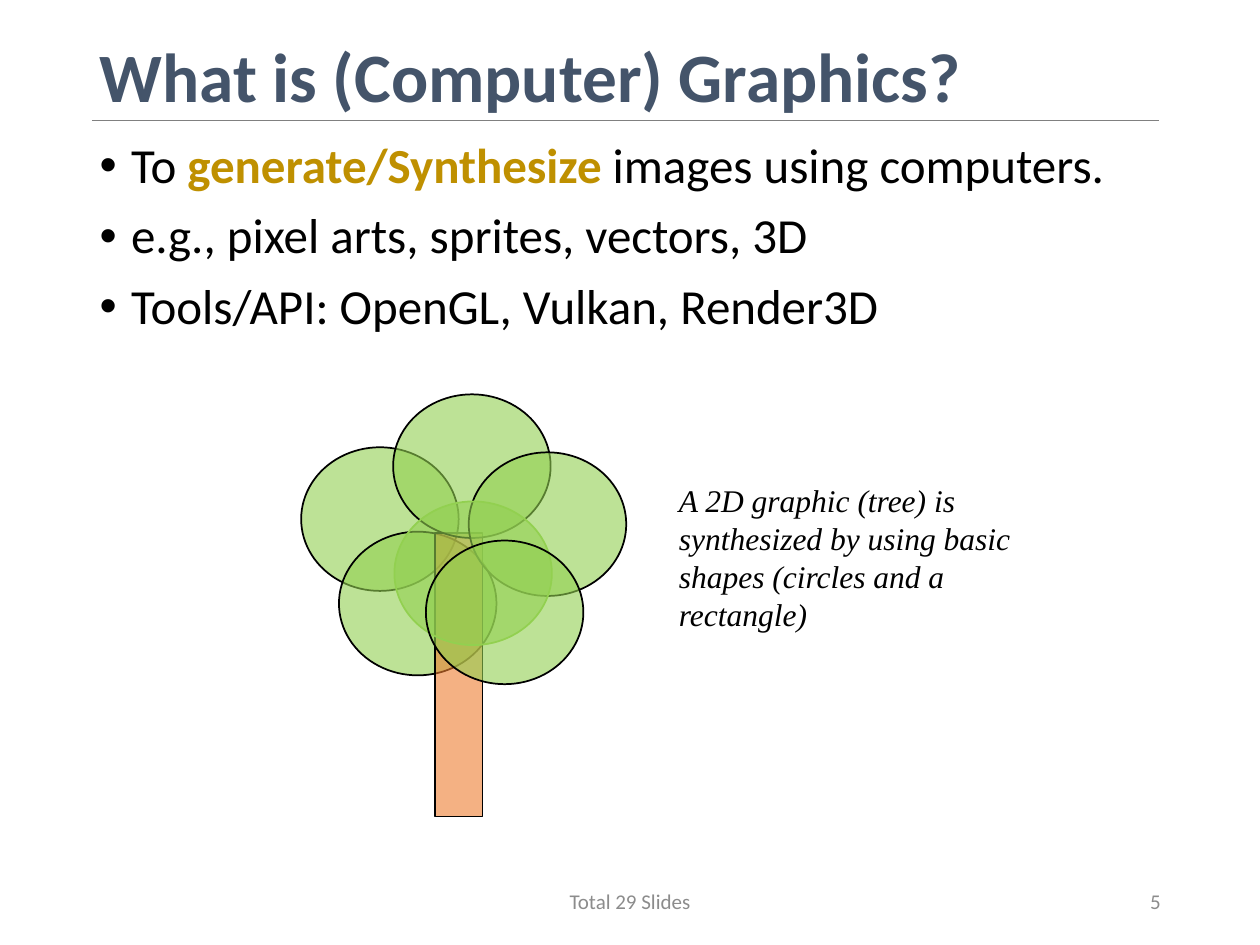
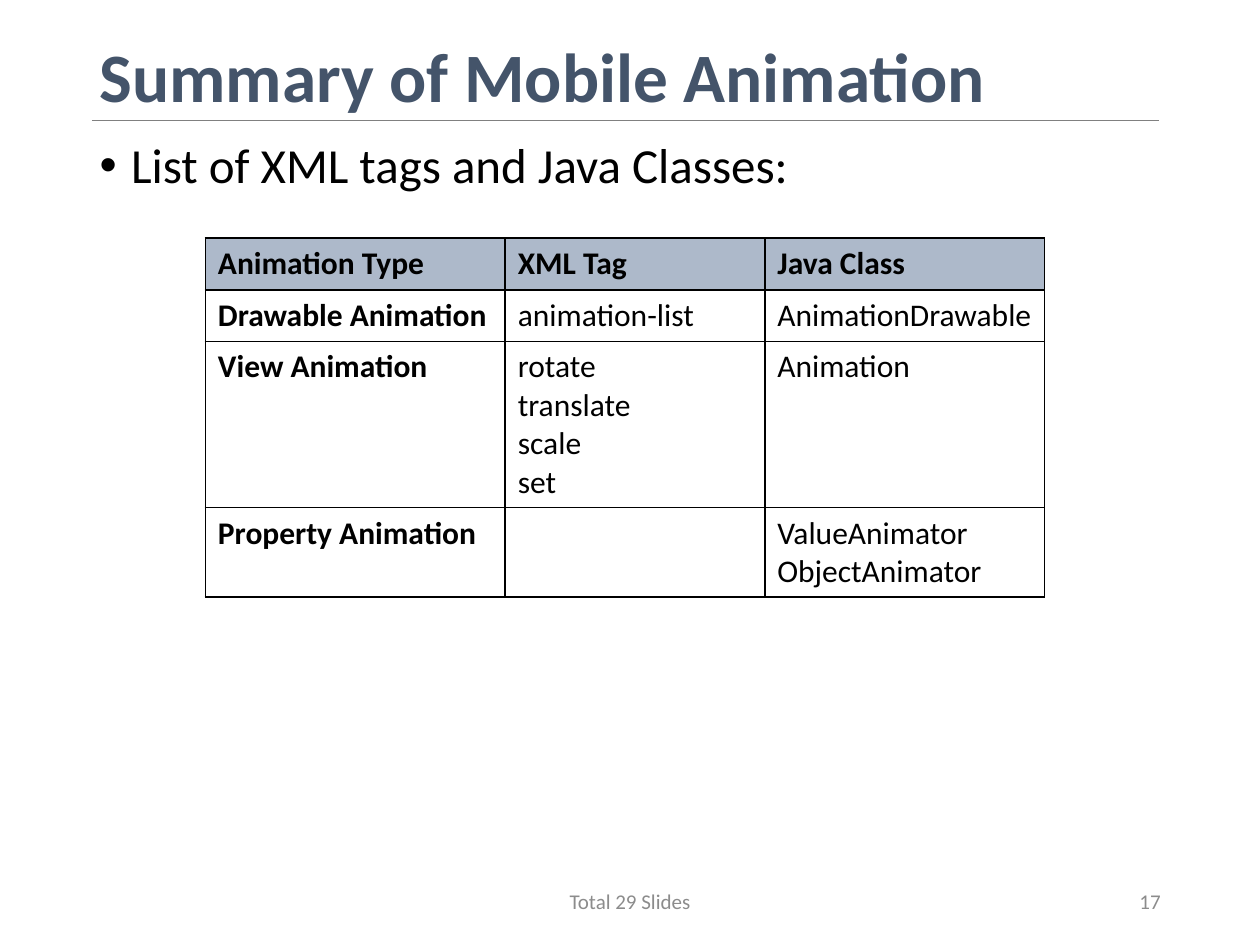
from collections.abc import Sequence
from dataclasses import dataclass, field
from typing import Any, NamedTuple

from lxml import etree
from pptx import Presentation
from pptx import util as u
from pptx.dml.color import RGBColor
from pptx.enum import shapes, text
from pptx.oxml import ns


@dataclass(frozen=True)
class Theme:
    title: str = "44546A"
    accent: str = "BF9000"
    ink: str = "000000"
    rule: str = "808080"
    footer: str = "8C8C8C"
    header: str = "ADB9CA"
    leaf: str = "92D050"
    trunk: str = "ED7D31"
    sans: str = "Calibri"
    serif: str = "Times New Roman"
    title_size: float = 39.6
    body_size: float = 28
    small_size: float = 18
    footer_size: float = 12
    line_spacing: float = 0.9
    outline: float = 1
    opacity: int = 60


THEME = Theme()


class Box(NamedTuple):
    left: float
    top: float
    width: float
    height: float

    def lengths(self) -> list[u.Length]:
        return [u.Inches(value) for value in self]


class Run(NamedTuple):
    words: str
    color: str = THEME.ink
    bold: bool = False


class Part(NamedTuple):
    kind: shapes.MSO_SHAPE
    box: Box
    fill: str
    line: str


@dataclass(frozen=True)
class TextStyle:
    size: float
    color: str
    name: str = THEME.sans
    bold: bool = False
    italic: bool = False
    paragraph: dict[str, Any] = field(default_factory=dict)

    def font_values(self) -> dict[str, Any]:
        return {"size": u.Pt(self.size), "name": self.name,
                "bold": self.bold, "italic": self.italic}


TITLE_BOX = Box(0.69, 0.4, 8.62, 0.47)
BODY_BOX = Box(0.69, 1.07, 9.03, 5.68)
FOOTER_BOX = Box(3.31, 6.95, 3.38, 0.4)
NUMBER_BOX = Box(7.06, 6.95, 2.25, 0.4)
RULE_LEFT, RULE_RIGHT, RULE_TOP = 0.73, 9.2, 0.96
BULLET_INDENT = 0.25

TITLE_STYLE = TextStyle(
    THEME.title_size, THEME.title, bold=True,
    paragraph={"alignment": text.PP_ALIGN.LEFT, "line_spacing": THEME.line_spacing})
BODY_STYLE = TextStyle(
    THEME.body_size, THEME.ink,
    paragraph={"line_spacing": THEME.line_spacing, "space_before": u.Pt(10)})
CAPTION_STYLE = TextStyle(THEME.small_size, THEME.ink, THEME.serif, italic=True)
FOOTER_STYLE = TextStyle(THEME.footer_size, THEME.footer,
                         paragraph={"alignment": text.PP_ALIGN.CENTER})
NUMBER_STYLE = TextStyle(THEME.footer_size, THEME.footer,
                         paragraph={"alignment": text.PP_ALIGN.RIGHT})
CELL_STYLE = TextStyle(THEME.small_size, THEME.ink)
HEADING_STYLE = TextStyle(THEME.small_size, THEME.ink, bold=True)

CROWN_SIZE = (1.25, 1.14)


def leaf(left: float, top: float, line: str = THEME.ink) -> Part:
    return Part(shapes.MSO_SHAPE.OVAL, Box(left, top, *CROWN_SIZE), THEME.leaf, line)


TREE = [
    leaf(2.39, 3.55),
    leaf(2.69, 4.22),
    Part(shapes.MSO_SHAPE.RECTANGLE, Box(3.45, 4.23, 0.38, 2.25), THEME.trunk, THEME.ink),
    leaf(3.12, 3.13),
    leaf(3.72, 3.59),
    leaf(3.13, 3.98, THEME.leaf),
    leaf(3.38, 4.29),
]

TABLE_CORNER = (1.63, 1.89)
COLUMN_WIDTHS = [2.38, 2.06, 2.22]
ROW_HEIGHTS = [0.41, 0.41, 1.32, 0.71]
ANIMATION_ROWS = [
    [["Animation Type"], ["XML Tag"], ["Java Class"]],
    [["Drawable Animation"], ["animation-list"], ["AnimationDrawable"]],
    [["View Animation"], ["rotate", "translate", "scale", "set"], ["Animation"]],
    [["Property Animation"], [], ["ValueAnimator", "ObjectAnimator"]],
]


def assign(target: Any, values: dict[str, Any]) -> None:
    for name, value in values.items():
        setattr(target, name, value)


def rgb(color: str) -> RGBColor:
    return RGBColor.from_string(color)


def write(frame: Any, paragraphs: Sequence[Sequence[Run]], style: TextStyle) -> None:
    for index, runs in enumerate(paragraphs):
        paragraph = frame.paragraphs[0] if index == 0 else frame.add_paragraph()
        assign(paragraph, style.paragraph)
        for part in runs:
            run = paragraph.add_run()
            run.text = part.words
            assign(run.font, style.font_values() | {"bold": part.bold})
            run.font.color.rgb = rgb(part.color)


def write_lines(frame: Any, lines: Sequence[str], style: TextStyle) -> None:
    write(frame, [[Run(line, style.color, style.bold)] for line in lines], style)


def place(holder: Any, box: Box) -> None:
    assign(holder, dict(zip(box._fields, box.lengths())))
    assign(holder.text_frame, {"auto_size": text.MSO_AUTO_SIZE.NONE, "word_wrap": True})


def add_text(slide: Any, box: Box, words: str, style: TextStyle,
             anchor: text.MSO_ANCHOR = text.MSO_ANCHOR.TOP) -> None:
    frame = slide.shapes.add_textbox(*box.lengths()).text_frame
    assign(frame, {"word_wrap": True, "vertical_anchor": anchor})
    write_lines(frame, [words], style)


def add_rule(slide: Any) -> None:
    left, right, top = map(u.Inches, (RULE_LEFT, RULE_RIGHT, RULE_TOP))
    rule = slide.shapes.add_connector(shapes.MSO_CONNECTOR.STRAIGHT, left, top, right, top)
    rule.line.color.rgb = rgb(THEME.rule)
    rule.line.width = u.Pt(0.5)
    etree.SubElement(rule._element.spPr, ns.qn("a:effectLst"))


def add_content_slide(deck: Any, title: str, bullets: Sequence[Sequence[Run]],
                      number: int) -> Any:
    slide = deck.slides.add_slide(deck.slide_layouts[1])
    heading, body = slide.placeholders
    place(heading, TITLE_BOX)
    heading.text_frame.vertical_anchor = text.MSO_ANCHOR.MIDDLE
    write_lines(heading.text_frame, [title], TITLE_STYLE)
    add_rule(slide)
    place(body, BODY_BOX)
    write(body.text_frame, bullets, BODY_STYLE)
    for paragraph in body.text_frame.paragraphs:
        properties = paragraph._p.get_or_add_pPr()
        properties.set("marL", str(u.Inches(BULLET_INDENT)))
        properties.set("indent", str(-u.Inches(BULLET_INDENT)))
    add_text(slide, FOOTER_BOX, "Total 29 Slides", FOOTER_STYLE, text.MSO_ANCHOR.MIDDLE)
    add_text(slide, NUMBER_BOX, str(number), NUMBER_STYLE, text.MSO_ANCHOR.MIDDLE)
    return slide


def add_tree(slide: Any) -> None:
    tree = slide.shapes.add_group_shape()
    for part in TREE:
        shape = tree.shapes.add_shape(part.kind, *part.box.lengths())
        shape.shadow.inherit = False
        shape.fill.solid()
        shape.fill.fore_color.rgb = rgb(part.fill)
        color = shape._element.spPr.find(ns.qn("a:solidFill"))[0]
        etree.SubElement(color, ns.qn("a:alpha"), val=str(THEME.opacity * 1000))
        shape.line.color.rgb = rgb(part.line)
        shape.line.width = u.Pt(THEME.outline)


def add_borders(cell: Any) -> None:
    properties = cell._tc.get_or_add_tcPr()
    for index, side in enumerate(("lnL", "lnR", "lnT", "lnB")):
        border = etree.Element(ns.qn(f"a:{side}"), w=str(u.Pt(THEME.outline)))
        fill = etree.SubElement(border, ns.qn("a:solidFill"))
        etree.SubElement(fill, ns.qn("a:srgbClr"), val=THEME.ink)
        properties.insert(index, border)


def add_animation_table(slide: Any) -> None:
    box = Box(*TABLE_CORNER, sum(COLUMN_WIDTHS), sum(ROW_HEIGHTS))
    table = slide.shapes.add_table(
        len(ROW_HEIGHTS), len(COLUMN_WIDTHS), *box.lengths()).table
    assign(table, {"first_row": False, "horz_banding": False})
    for column, width in zip(table.columns, COLUMN_WIDTHS):
        column.width = u.Inches(width)
    for row, height in zip(table.rows, ROW_HEIGHTS):
        row.height = u.Inches(height)
    for row, entries in enumerate(ANIMATION_ROWS):
        for column, lines in enumerate(entries):
            cell = table.cell(row, column)
            if row == 0:
                cell.fill.solid()
                cell.fill.fore_color.rgb = rgb(THEME.header)
            else:
                cell.fill.background()
            add_borders(cell)
            is_heading = row == 0 or column == 0
            write_lines(cell.text_frame, lines, HEADING_STYLE if is_heading else CELL_STYLE)


def main() -> None:
    deck = Presentation()
    assign(deck, {"slide_width": u.Inches(10), "slide_height": u.Inches(7.5)})

    graphics = add_content_slide(deck, "What is (Computer) Graphics?", [
        [Run("To "), Run("generate/Synthesize", THEME.accent, True),
         Run(" images using computers.")],
        [Run("e.g., pixel arts, sprites, vectors, 3D")],
        [Run("Tools/API: OpenGL, Vulkan, Render3D")],
    ], 5)
    add_tree(graphics)
    add_text(graphics, Box(5.29, 3.77, 2.96, 1.01),
             "A 2D graphic (tree) is synthesized by using basic shapes "
             "(circles and a rectangle)", CAPTION_STYLE)

    summary = add_content_slide(deck, "Summary of Mobile Animation", [
        [Run("List of XML tags and Java Classes:")],
    ], 17)
    add_animation_table(summary)

    deck.save("out.pptx")


if __name__ == "__main__":
    main()
